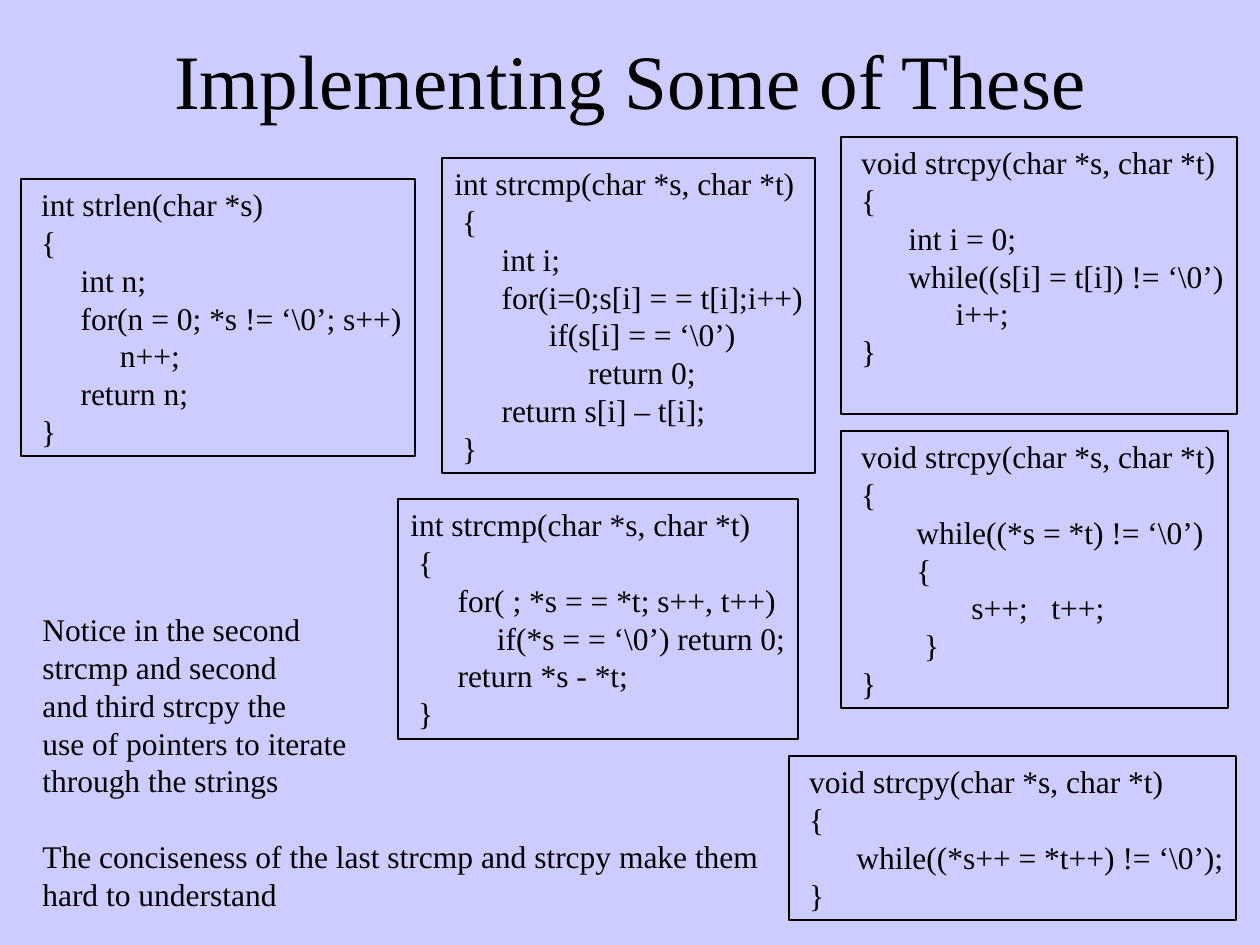
import pptx
import pptx.util
import pptx.dml.color
import pptx.enum.shapes
import pptx.enum.text
from dataclasses import dataclass

SCALE = 914400 / 126  # EMU in one px


@dataclass
class Theme:
    ink: str = "000000"
    back: str = "CCCCFF"
    font: str = "Times New Roman"
    head: int = 44
    text: int = 18
    lead: float = 21.6
    rule: float = 0.75


def emu(*sides):
    return [pptx.util.Emu(round(side * SCALE)) for side in sides]


def color(code):
    return pptx.dml.color.RGBColor.from_string(code)


def apply(target, values):
    for name, value in values.items():
        setattr(target, name, value)


class Page:
    def __init__(self, deck, theme):
        self.theme = theme
        self.slide = deck.slides.add_slide(deck.slide_layouts[5])
        fill = self.slide.background.fill
        fill.solid()
        fill.fore_color.rgb = color(theme.back)

    def style(self, para, size, **values):
        apply(para, values)
        apply(para.font, {"name": self.theme.font, "size": pptx.util.Pt(size)})
        para.font.color.rgb = color(self.theme.ink)

    def title(self, text, *box):
        shape = self.slide.shapes.title
        apply(shape, dict(zip(("left", "top", "width", "height"), emu(*box))))
        shape.text_frame.text = text
        shape.text_frame.vertical_anchor = pptx.enum.text.MSO_ANCHOR.MIDDLE
        self.style(shape.text_frame.paragraphs[0], self.theme.head,
                   alignment=pptx.enum.text.PP_ALIGN.CENTER)

    def lines(self, shape, text):
        """Fill the shape with one paragraph a line and return them."""
        frame = shape.text_frame
        apply(frame, {"word_wrap": False,
                      "auto_size": pptx.enum.text.MSO_AUTO_SIZE.NONE,
                      "vertical_anchor": pptx.enum.text.MSO_ANCHOR.TOP})
        frame.text = text
        for para in frame.paragraphs:
            self.style(para, self.theme.text,
                       alignment=pptx.enum.text.PP_ALIGN.LEFT,
                       line_spacing=pptx.util.Pt(self.theme.lead))
        return frame.paragraphs

    def code(self, text, *box):
        shape = self.slide.shapes.add_shape(
            pptx.enum.shapes.MSO_SHAPE.RECTANGLE, *emu(*box))
        shape.shadow.inherit = False
        shape.fill.background()
        shape.line.color.rgb = color(self.theme.ink)
        shape.line.width = pptx.util.Pt(self.theme.rule)
        self.lines(shape, text)

    def note(self, text, split, *box):
        """Add plain lines, with a gap of one line above line number split."""
        shape = self.slide.shapes.add_textbox(*emu(*box))
        paras = self.lines(shape, text)
        paras[split].space_before = pptx.util.Pt(self.theme.lead)


STRLEN = r""" int strlen(char *s)
 {
      int n;
      for(n = 0; *s != ‘\0’; s++)
           n++;
      return n;
 }"""

COPY_LOOP = r""" void strcpy(char *s, char *t)
 {
        while((*s = *t) != ‘\0’)
        {
               s++;   t++;
         }
 }"""

COPY_SHORT = r""" void strcpy(char *s, char *t)
 {
       while((*s++ = *t++) != ‘\0’);
 }"""

COPY_INDEX = r""" void strcpy(char *s, char *t)
 {
       int i = 0;
       while((s[i] = t[i]) != ‘\0’)
             i++;
 }"""

CMP_INDEX = r"""int strcmp(char *s, char *t)
 {
      int i;
      for(i=0;s[i] = = t[i];i++)
            if(s[i] = = ‘\0’)
                 return 0;
      return s[i] – t[i];
 }"""

CMP_SHORT = r"""int strcmp(char *s, char *t)
 {
      for( ; *s = = *t; s++, t++)
           if(*s = = ‘\0’) return 0;
      return *s - *t;
 }"""

NOTES = """Notice in the second
strcmp and second
and third strcpy the
use of pointers to iterate
through the strings
The conciseness of the last strcmp and strcpy make them
hard to understand"""


def main():
    deck = pptx.Presentation()
    deck.slide_width, deck.slide_height = emu(1260, 945)
    page = Page(deck, Theme())
    page.title("Implementing Some of These", 95, 0, 1071, 158)
    page.code(STRLEN, 21, 179, 394, 277)
    page.code(COPY_LOOP, 841, 431, 387, 277)
    page.code(COPY_SHORT, 789, 756, 447, 164)
    page.code(COPY_INDEX, 841, 137, 396, 277)
    page.code(CMP_INDEX, 442, 158, 373, 315)
    page.note(NOTES, 5, 30, 604, 741, 315)
    page.code(CMP_SHORT, 398, 499, 400, 240)
    deck.save("out.pptx")


if __name__ == "__main__":
    main()
